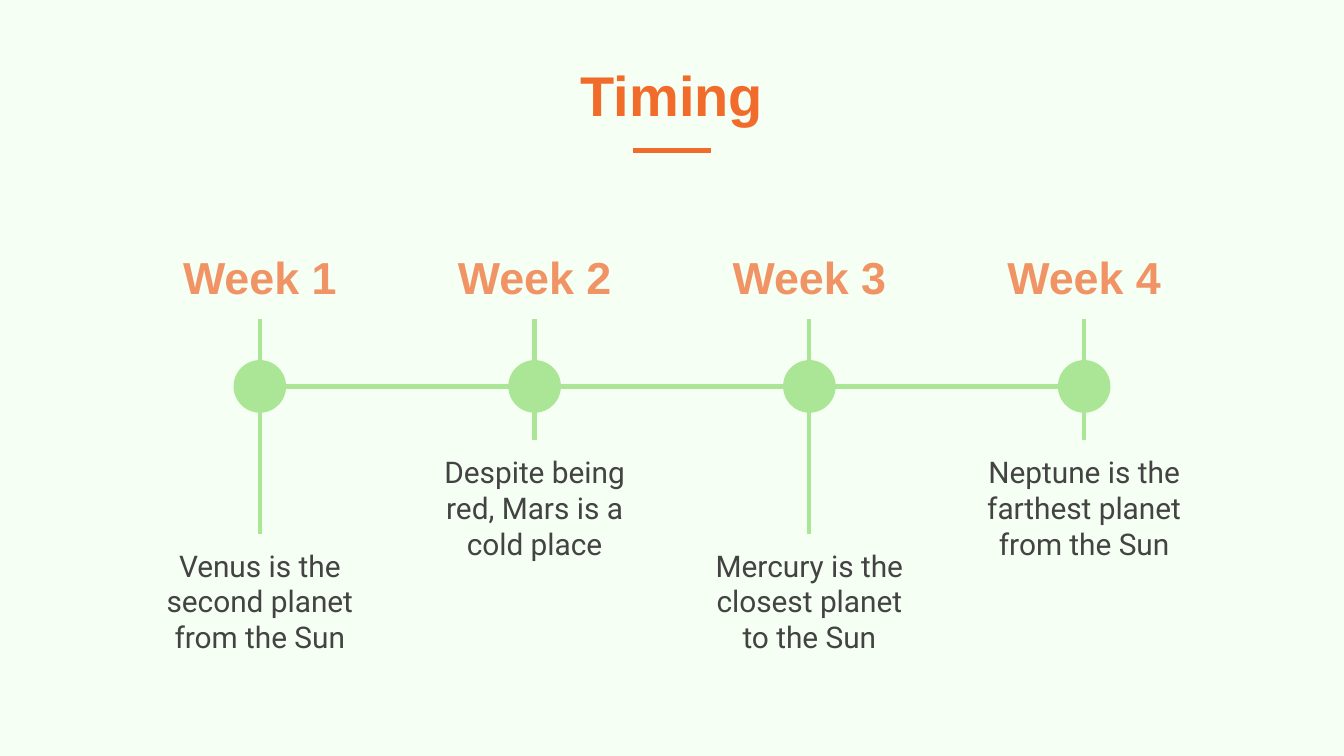
from lxml.etree import SubElement
from pptx import Presentation
from pptx.dml.color import RGBColor
from pptx.enum.shapes import MSO_CONNECTOR, MSO_SHAPE
from pptx.enum.text import MSO_ANCHOR, PP_ALIGN
from pptx.oxml.ns import qn
from pptx.util import Pt

MINT = RGBColor(0xF6, 0xFF, 0xF3)
GREEN = RGBColor(0xAB, 0xE6, 0x97)
ORANGE = RGBColor(0xF1, 0x6C, 0x2A)
PEACH = RGBColor(0xF0, 0x93, 0x65)
GRAY = RGBColor(0x43, 0x43, 0x43)


def add_line(x1, y1, x2, y2, color, width):
    line = s.shapes.add_connector(MSO_CONNECTOR.STRAIGHT, Pt(x1), Pt(y1), Pt(x2), Pt(y2))
    line.line.color.rgb = color
    line.line.width = Pt(width)
    SubElement(line._element.spPr, qn("a:effectLst"))


def add_text(text, x, y, w, h, font, size, color, bold=False, anchor=MSO_ANCHOR.TOP):
    tf = s.shapes.add_textbox(Pt(x), Pt(y), Pt(w), Pt(h)).text_frame
    tf.word_wrap = True
    tf.vertical_anchor = anchor
    tf.margin_left = tf.margin_right = tf.margin_top = tf.margin_bottom = Pt(7.2)
    p = tf.paragraphs[0]
    p.alignment = PP_ALIGN.CENTER
    r = p.add_run()
    r.text = text
    r.font.name = font
    r.font.size = Pt(size)
    r.font.bold = bold
    r.font.color.rgb = color


prs = Presentation()
prs.slide_width = Pt(720)
prs.slide_height = Pt(405)
s = prs.slides.add_slide(prs.slide_layouts[6])
s.background.fill.solid()
s.background.fill.fore_color.rgb = MINT

add_line(339, 80.7, 381, 80.7, ORANGE, 3)
add_text("Timing", 62.5, 16, 595, 59.5, "Arial", 30, ORANGE, True, MSO_ANCHOR.BOTTOM)

first, pitch, axis, dot, width = 139.2, 147.2, 207, 28.2, 126
add_line(first + dot / 2, axis, first + 3 * pitch - dot / 2, axis, GREEN, 3)

weeks = [
    ("Week 1", "Venus is the second planet from the Sun", 286),
    ("Week 2", "Despite being red, Mars is a cold place", 236),
    ("Week 3", "Mercury is the closest planet to the Sun", 286),
    ("Week 4", "Neptune is the farthest planet from the Sun", 236),
]
for i, (week, note, note_top) in enumerate(weeks):
    x = first + i * pitch
    add_line(x, 171, x, note_top, GREEN, 2.25)
    sp = s.shapes.add_shape(MSO_SHAPE.OVAL, Pt(x - dot / 2), Pt(axis - dot / 2), Pt(dot), Pt(dot))
    sp.shadow.inherit = False
    sp.fill.solid()
    sp.fill.fore_color.rgb = GREEN
    sp.line.fill.background()
    add_text(week, x - width / 2, 126.5, width, 44.5, "Arial", 24, PEACH, True)
    add_text(note, x - width / 2, note_top, width, 50.5, "Roboto", 16, GRAY)

prs.save("out.pptx")
